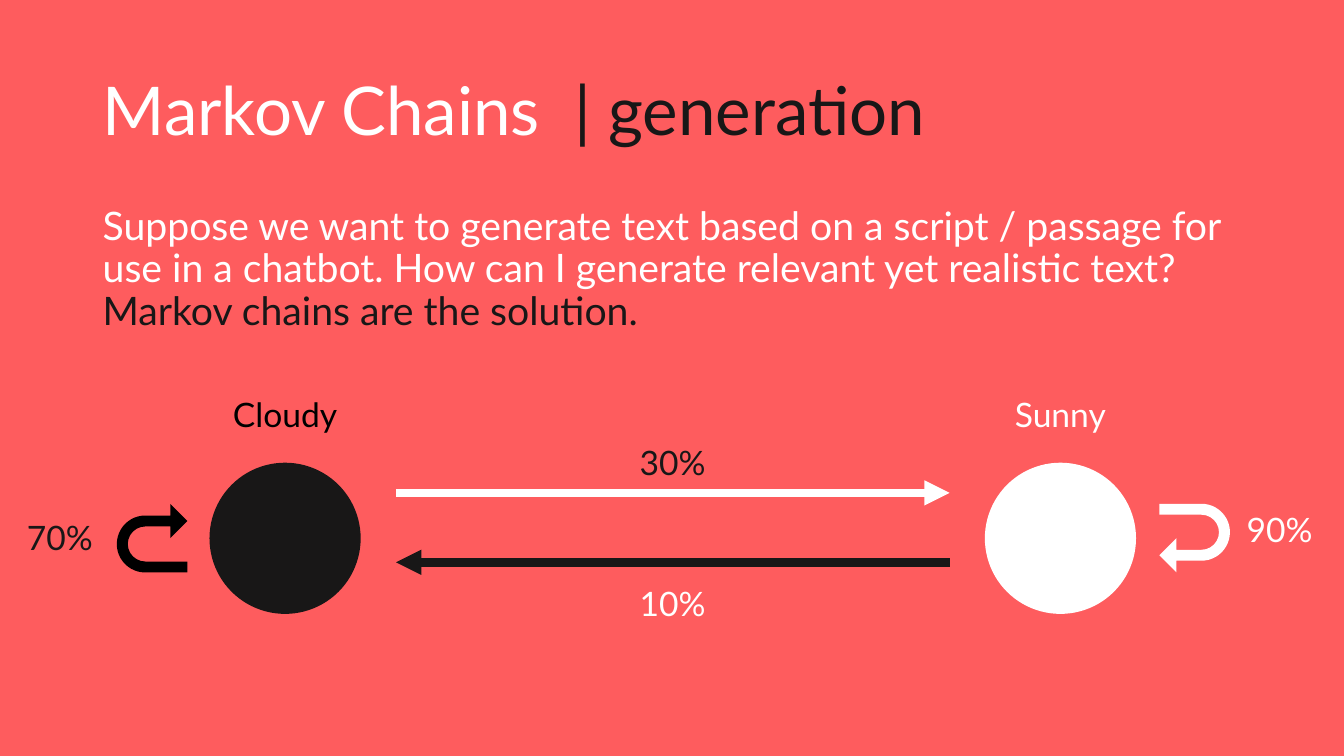
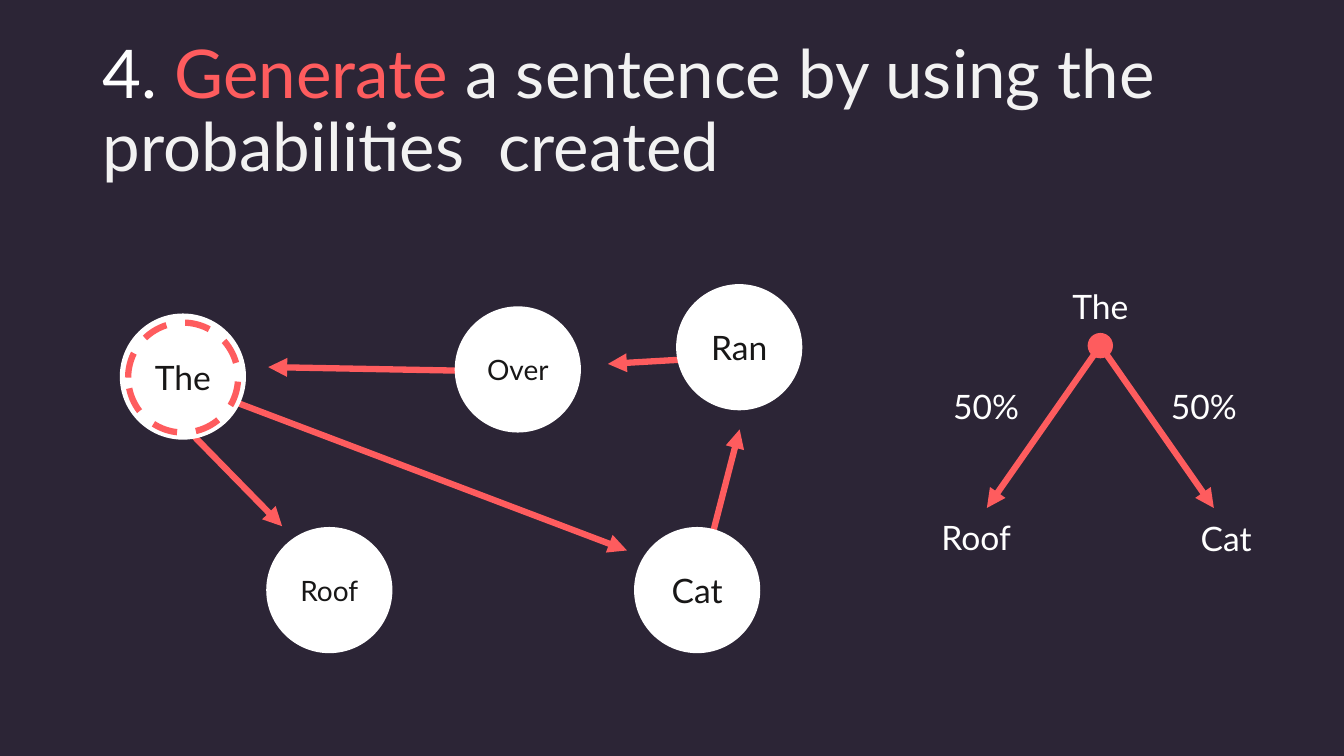
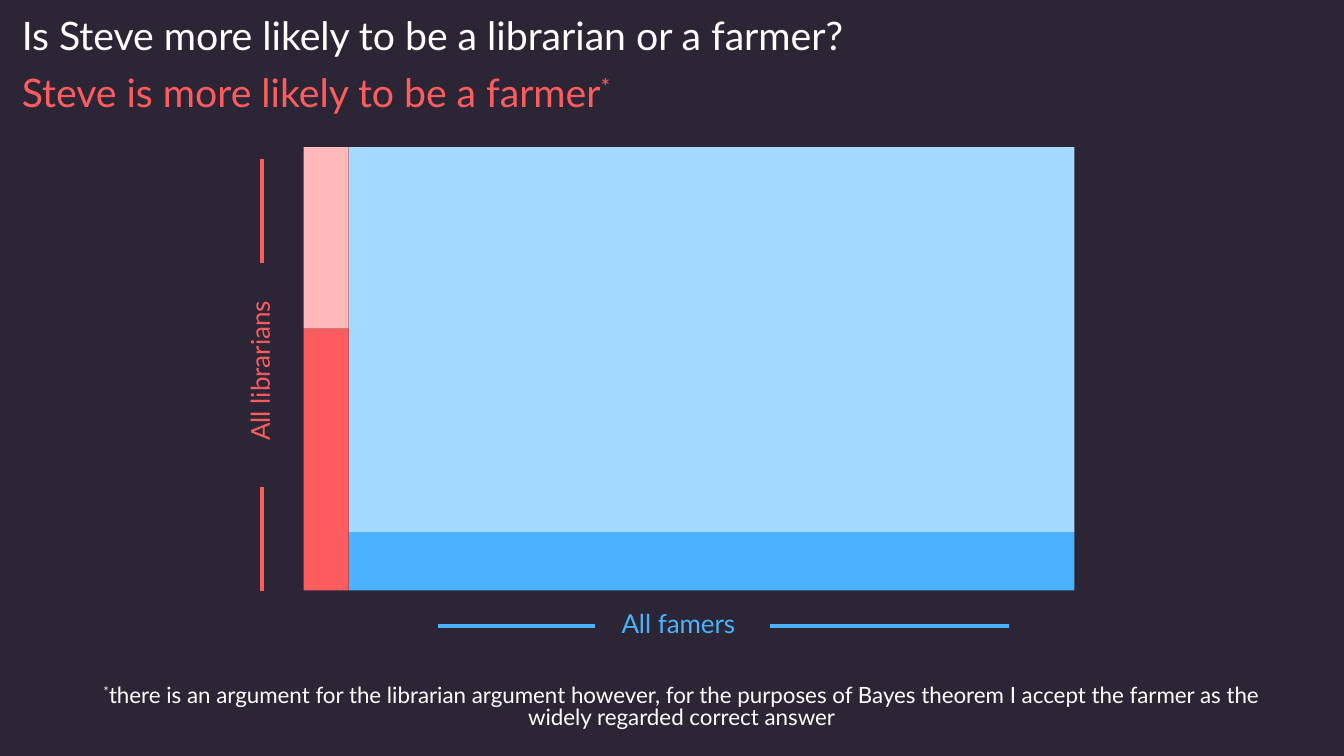
from dataclasses import dataclass

from lxml import etree
from pptx import Presentation
from pptx.dml.color import RGBColor
from pptx.enum.dml import MSO_LINE
from pptx.enum.shapes import MSO_CONNECTOR, MSO_SHAPE as SHAPE
from pptx.enum.text import MSO_ANCHOR as ANCHOR, PP_ALIGN as ALIGN
from pptx.oxml.ns import qn
from pptx.util import Cm, Pt


@dataclass(frozen=True)
class Theme:
    font: str = "Lato"
    coral: str = "FE5C5E"
    pink: str = "FFB9BB"
    night: str = "2C2536"
    ink: str = "181717"
    black: str = "000000"
    white: str = "FFFFFF"
    mist: str = "F2F2F2"
    blue: str = "4BB3FD"
    sky: str = "A4DAFE"
    title: int = 48
    axis: int = 32
    body: int = 28
    label: int = 24
    small: int = 20
    note: int = 16


theme = Theme()
TITLE_BOX = (2.34, 1.02, 29.21, 3.68)


def add_box(slide, box, *paragraphs, kind=None, fill=None, outline=None, size=theme.label,
            align=ALIGN.CENTER, anchor=ANCHOR.MIDDLE, spacing=None, gap=0, rotation=0):
    """Add a text box, or a preset shape if kind is given.

    Each paragraph is a list of runs: (text, colour) or (text, colour, "super").
    """
    lengths = [Cm(value) for value in box]
    if kind is None:
        shape = slide.shapes.add_textbox(*lengths)
    else:
        shape = slide.shapes.add_shape(kind, *lengths)
        shape.shadow.inherit = False
        if fill:
            shape.fill.solid()
            shape.fill.fore_color.rgb = RGBColor.from_string(fill)
        else:
            shape.fill.background()
        if outline:
            shape.line.color.rgb = RGBColor.from_string(outline)
            shape.line.width = Pt(4.5)
            shape.line.dash_style = MSO_LINE.DASH
        else:
            shape.line.fill.background()
    shape.rotation = rotation

    frame = shape.text_frame
    frame.word_wrap = True
    frame.vertical_anchor = anchor
    for index, runs in enumerate(paragraphs):
        paragraph = frame.add_paragraph() if index else frame.paragraphs[0]
        paragraph.alignment = align
        paragraph.line_spacing = spacing
        paragraph.space_before = Pt(gap if index else 0)
        for text, colour, *raised in runs:
            run = paragraph.add_run()
            run.text = text
            run.font.name = theme.font
            run.font.size = Pt(size)
            run.font.color.rgb = RGBColor.from_string(colour)
            if raised:
                run.font._element.set("baseline", "30000")
    return shape


def add_line(slide, start, end, colour, width, arrow=False):
    line = slide.shapes.add_connector(
        MSO_CONNECTOR.STRAIGHT, *[Cm(value) for value in (*start, *end)])
    line.line.color.rgb = RGBColor.from_string(colour)
    line.line.width = Pt(width)
    properties = line._element.spPr
    if arrow:
        etree.SubElement(properties.find(qn("a:ln")), qn("a:tailEnd"), type="triangle")
    etree.SubElement(properties, qn("a:effectLst"))


presentation = Presentation()
presentation.slide_width = Cm(33.87)
presentation.slide_height = Cm(19.05)

slides = []
for background in (theme.coral, theme.night, theme.night):
    slide = presentation.slides.add_slide(presentation.slide_layouts[6])
    slide.background.fill.solid()
    slide.background.fill.fore_color.rgb = RGBColor.from_string(background)
    slides.append(slide)
weather, sentence, steve = slides

# Weather chain
add_box(weather, TITLE_BOX,
        [("Markov Chains  ", theme.white), ("| generation", theme.ink)],
        size=theme.title, align=ALIGN.LEFT, spacing=0.9)
add_box(weather, (2.34, 5.08, 29.21, 4),
        [("Suppose we want to generate text based on a script / passage for use in a chatbot. "
          "How can I generate relevant yet realistic text? ", theme.white),
         ("Markov chains are the solution.", theme.ink)],
        size=theme.body, align=ALIGN.LEFT, anchor=ANCHOR.TOP, spacing=0.9)

state_size, state_label_width = 3.81, 4.7
for name, left, fill, dark, loop_left, rotation in (
        ("Cloudy", 5.28, theme.ink, theme.black, 2.97, 270),
        ("Sunny", 24.82, theme.white, theme.white, 29.24, 90)):
    add_box(weather, (left, 11.66, state_size, state_size), kind=SHAPE.OVAL, fill=fill)
    label_left = left + (state_size - state_label_width) / 2
    add_box(weather, (label_left, 9.8, state_label_width, 1.27), [(name, dark)])
    loop = add_box(weather, (loop_left, 12.67, 1.73, 1.78),
                   kind=SHAPE.U_TURN_ARROW, fill=dark, rotation=rotation)
    for index, value in enumerate((0.16, 0.25, 0.25, 0.44, 1)):
        loop.adjustments[index] = value

add_line(weather, (9.98, 12.42), (23.93, 12.42), theme.white, 6, arrow=True)
add_line(weather, (23.93, 14.17), (9.98, 14.17), theme.ink, 6, arrow=True)

chance_width = 2.6
for chance, centre, top, colour in (
        ("30%", 16.95, 11, theme.ink), ("10%", 16.95, 14.55, theme.white),
        ("70%", 1.51, 12.9, theme.ink), ("90%", 32.25, 12.7, theme.white)):
    add_box(weather, (centre - chance_width / 2, top, chance_width, 1.27), [(chance, colour)])

# Sentence graph
add_box(sentence, TITLE_BOX,
        [("4. ", theme.white), ("Generate", theme.coral),
         (" a sentence by using the probabilities  created", theme.mist)],
        size=theme.title, align=ALIGN.LEFT, spacing=0.9)

for start, end in (
        ((5.74, 10.06), (15.8, 13.87)),
        ((17.91, 13.64), (18.64, 10.82)),
        ((17.58, 9.04), (15.32, 9.17)),
        ((12.12, 9.35), (6.76, 9.25)),
        ((4.72, 10.82), (7.11, 13.26))):
    add_line(sentence, start, end, theme.coral, 4.5, arrow=True)

for word, left, top, size in (
        ("The", 3.02, 7.9, theme.label), ("Cat", 15.98, 13.28, theme.label),
        ("Ran", 17.04, 7.16, theme.label), ("Over", 11.46, 7.72, theme.small),
        ("Roof", 6.71, 13.28, theme.small)):
    add_box(sentence, (left, top, 3.18, 3.18), [(word, theme.ink)],
            kind=SHAPE.OVAL, fill=theme.white, size=size)
add_box(sentence, (3.23, 8.13, 2.77, 2.77), kind=SHAPE.OVAL, outline=theme.coral)

# Probability tree
root_x, root_y, hub = 27.73, 8.71, 0.64
for side in (-1, 1):
    add_line(sentence, (root_x, root_y), (root_x + side * 2.86, 12.8),
             theme.coral, 4.5, arrow=True)
add_box(sentence, (root_x - hub / 2, root_y - hub / 2, hub, hub),
        kind=SHAPE.OVAL, fill=theme.coral)
for text, centre, top in (
        ("The", root_x, 6.99), ("50%", 24.85, 9.5), ("50%", 30.34, 9.5),
        ("Roof", 24.6, 12.8), ("Cat", 30.9, 12.83)):
    add_box(sentence, (centre - 1.6, top, 3.2, 1.45), [(text, theme.white)])

# Librarian or farmer
add_box(steve, (0.3, 0.3, 29.21, 3),
        [("Is Steve more likely to be a librarian or a farmer?", theme.white)],
        [("Steve is more likely to be a farmer", theme.coral), ("*", theme.coral, "super")],
        size=theme.body, align=ALIGN.LEFT, anchor=ANCHOR.TOP, spacing=0.9, gap=10)
add_box(steve, (1.75, 17.17, 30.86, 1.45),
        [("*", theme.white, "super"),
         ("there is an argument for the librarian argument however, for the purposes of Bayes "
          "theorem I accept the farmer as the widely regarded correct answer", theme.white)],
        size=theme.note, anchor=ANCHOR.TOP, spacing=0.8)

area_top, area_height = 3.71, 11.17
for left, width, upper_height, upper, lower in (
        (7.65, 1.14, 4.57, theme.pink, theme.coral),
        (8.79, 18.29, 9.7, theme.sky, theme.blue)):
    add_box(steve, (left, area_top, width, upper_height), kind=SHAPE.RECTANGLE, fill=upper)
    add_box(steve, (left, area_top + upper_height, width, area_height - upper_height),
            kind=SHAPE.RECTANGLE, fill=lower)

for text, box, colour, rotation in (
        ("All librarians", (1.47, 8.38, 11.07, 1.93), theme.coral, 270),
        ("All famers", (10.96, 15.21, 12.27, 1.93), theme.blue, 0)):
    add_box(steve, box, [(text, colour, "super")], size=theme.axis,
            anchor=ANCHOR.TOP, spacing=0.9, rotation=rotation)

for start, end, colour in (
        ((6.6, 4.01), (6.6, 6.63), theme.coral),
        ((6.6, 12.27), (6.6, 14.88), theme.coral),
        ((11.05, 15.77), (14.99, 15.77), theme.blue),
        ((19.41, 15.77), (25.43, 15.77), theme.blue)):
    add_line(steve, start, end, colour, 3)

presentation.save("out.pptx")
